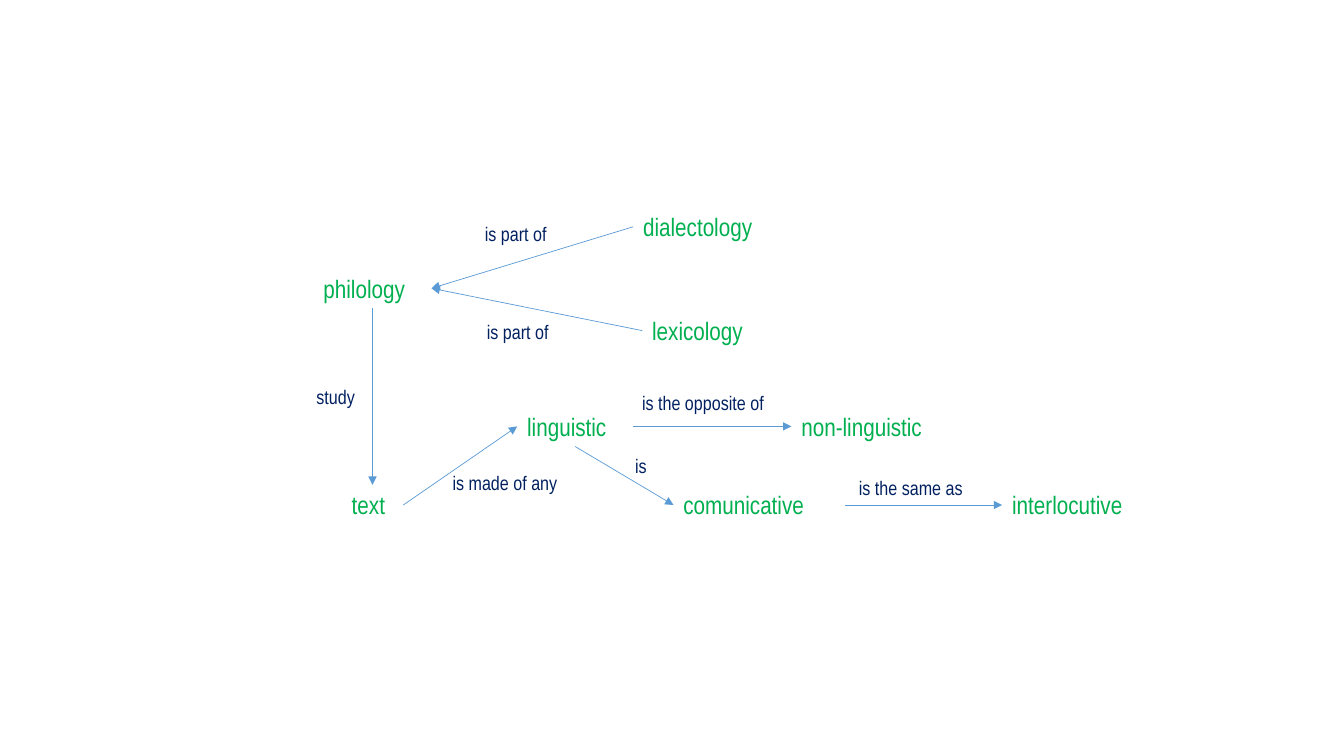
from dataclasses import dataclass

from lxml.etree import SubElement
from pptx import Presentation
from pptx.dml.color import RGBColor as Color
from pptx.enum.shapes import MSO_CONNECTOR as Connector
from pptx.enum.text import MSO_AUTO_SIZE as AutoSize
from pptx.oxml.ns import qn
from pptx.util import Inches, Pt

TOP, LEFT, BOTTOM, RIGHT = range(4)

CONCEPTS = {
    "linguistic": (5.13, 4.03, 1.15),
    "comunicative": (6.68, 4.81, 1.7),
    "philology": (3.11, 2.66, 1.17),
    "text": (3.39, 4.81, 0.61),
    "interlocutive": (9.94, 4.81, 1.55),
    "dialectology": (6.28, 2.05, 1.45),
    "lexicology": (6.37, 3.08, 1.26),
    "non-linguistic": (7.85, 4.03, 1.63),
}
RELATIONS = [
    ("text", RIGHT, "linguistic", LEFT),
    ("philology", BOTTOM, "text", TOP),
    ("dialectology", LEFT, "philology", RIGHT),
    ("lexicology", LEFT, "philology", RIGHT),
    ("linguistic", BOTTOM, "comunicative", LEFT),
    ("linguistic", RIGHT, "non-linguistic", LEFT),
    ("comunicative", RIGHT, "interlocutive", LEFT),
]
LABELS = [
    ("is", 6.2, 4.45, 0.4),
    ("is the same as", 8.42, 4.67, 1.34),
    ("study", 3.04, 3.77, 0.7),
    ("is made of any", 4.39, 4.62, 1.38),
    ("is part of", 4.73, 3.12, 1.05),
    ("is part of", 4.71, 2.15, 1.05),
    ("is the opposite of", 6.27, 3.83, 1.87),
]


@dataclass(frozen=True)
class Theme:
    """Colours, type sizes and measures of the concept map."""
    font: str = "Arial Narrow"
    concept_color: str = "00B050"
    concept_size: int = 18
    concept_height: float = 0.4
    label_color: str = "002060"
    label_size: int = 14
    label_height: float = 0.34
    arrow_color: str = "5B9BD5"
    arrow_width: float = 0.5


def write_text(frame, text, *, font, size, color):
    """Write one formatted run into a text frame."""
    run = frame.paragraphs[0].add_run()
    run.text = text
    run.font.name = font
    run.font.size = Pt(size)
    run.font.color.rgb = Color.from_string(color)


class ConceptMap:
    """Draws concepts, relations and labels on a slide."""

    def __init__(self, slide, theme):
        """Keep the slide and the theme."""
        self.slide = slide
        self.theme = theme

    def add_text(self, text, left, top, width, height, size, color):
        """Add a text box and return it."""
        box = self.slide.shapes.add_textbox(
            Inches(left), Inches(top), Inches(width), Inches(height))
        box.text_frame.word_wrap = True
        box.text_frame.auto_size = AutoSize.SHAPE_TO_FIT_TEXT
        write_text(box.text_frame, text, font=self.theme.font, size=size, color=color)
        return box

    def add_concept(self, text, left, top, width):
        """Add a concept and return its box."""
        theme = self.theme
        return self.add_text(text, left, top, width, theme.concept_height,
                             theme.concept_size, theme.concept_color)

    def add_label(self, text, left, top, width):
        """Add the wording of a relation."""
        theme = self.theme
        return self.add_text(text, left, top, width, theme.label_height,
                             theme.label_size, theme.label_color)

    def add_arrow(self, source, source_side, target, target_side):
        """Join the sides of two boxes with an arrow."""
        arrow = self.slide.shapes.add_connector(Connector.STRAIGHT, 0, 0, 0, 0)
        arrow.begin_connect(source, source_side)
        arrow.end_connect(target, target_side)
        arrow.line.color.rgb = Color.from_string(self.theme.arrow_color)
        arrow.line.width = Pt(self.theme.arrow_width)
        properties = arrow.element.spPr
        SubElement(properties.find(qn("a:ln")), qn("a:tailEnd"), type="triangle")
        SubElement(properties, qn("a:effectLst"))


def main():
    """Build and save the presentation."""
    presentation = Presentation()
    presentation.slide_width = Inches(13.33)
    presentation.slide_height = Inches(7.5)
    slide = presentation.slides.add_slide(presentation.slide_layouts[6])
    concept_map = ConceptMap(slide, Theme())
    boxes = {name: concept_map.add_concept(name, *place)
             for name, place in CONCEPTS.items()}
    for source, source_side, target, target_side in RELATIONS:
        concept_map.add_arrow(boxes[source], source_side, boxes[target], target_side)
    for label in LABELS:
        concept_map.add_label(*label)
    presentation.save("out.pptx")


if __name__ == "__main__":
    main()
